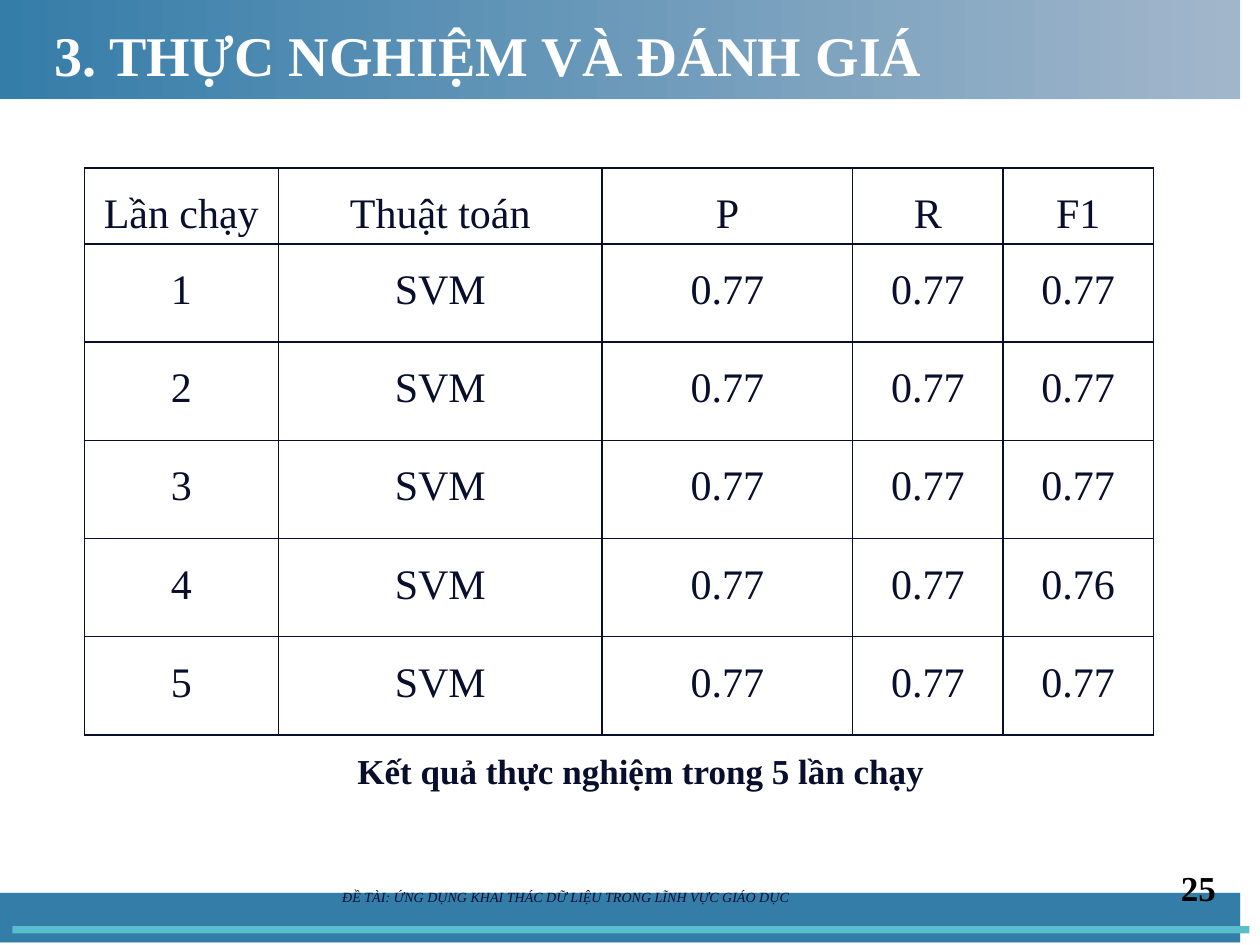
import pptx
import pptx.util
import pptx.dml.color
import pptx.enum.shapes
import pptx.enum.text
import pptx.oxml
import pptx.oxml.ns
from lxml import etree

Cm, Pt = pptx.util.Cm, pptx.util.Pt
RGBColor = pptx.dml.color.RGBColor
ALIGN = pptx.enum.text.PP_ALIGN
ANCHOR = pptx.enum.text.MSO_ANCHOR

FONT = "Times New Roman"
WHITE = RGBColor(0xFF, 0xFF, 0xFF)
BLACK = RGBColor(0x00, 0x00, 0x00)
NAVY = RGBColor(0x08, 0x0E, 0x2B)
BLUE = RGBColor(0x35, 0x7D, 0xA9)
GREY_BLUE = RGBColor(0xA2, 0xB6, 0xCB)
LIGHT_BLUE = RGBColor(0x9B, 0xD3, 0xE5)
TEAL = RGBColor(0x58, 0xBE, 0xCC)

prs = pptx.Presentation()
prs.slide_width, prs.slide_height = Cm(25.4), Cm(19.05)
s = prs.slides.add_slide(prs.slide_layouts[6])


def add_band(points, color):
    """Draw a closed, unlined outline whose points are in centimetres."""
    fb = s.shapes.build_freeform(*points[0], scale=Cm(1))
    fb.add_line_segments(points[1:], close=True)
    sp = fb.convert_to_shape()
    sp.shadow.inherit = False
    sp.line.fill.background()
    sp.fill.solid()
    sp.fill.fore_color.rgb = color
    return sp


def write(tf, text, size, color, align=ALIGN.LEFT, bold=False, italic=False):
    p = tf.paragraphs[0]
    p.alignment = align
    r = p.add_run()
    r.text = text
    r.font.name, r.font.size = FONT, Pt(size)
    r.font.bold, r.font.italic = bold, italic
    r.font.color.rgb = color
    return p


# Header
add_band([(25.12, 0.23), (0.25, 0.23), (0.25, 2.11), (18.87, 2.11),
          (19.33, 2.34), (25.12, 2.34)], LIGHT_BLUE)
header = add_band([(25.12, 0.2), (0.25, 0.2), (0.25, 1.88), (18.87, 1.9),
                   (19.33, 2.08), (25.12, 2.11)], BLUE)
header.fill.gradient()
header.fill.gradient_angle = 0
for stop, color, position in zip(header.fill.gradient_stops, (BLUE, GREY_BLUE), (0, 1)):
    stop.color.rgb = color
    stop.position = position
gloss = add_band([(19.15, 2.29), (25.15, 2.26), (25.15, 2.39), (19.43, 2.39)], WHITE)
clr = gloss.fill._xPr.find(".//" + pptx.oxml.ns.qn("a:srgbClr"))
etree.SubElement(clr, pptx.oxml.ns.qn("a:alpha"), val="30000")

# Footer
add_band([(0.28, 18.77), (25.17, 18.77), (25.17, 18.31), (6.83, 18.31),
          (6.2, 17.91), (0.25, 17.91)], LIGHT_BLUE)
add_band([(0.25, 18.8), (25.2, 18.77), (25.17, 18.44), (6.78, 18.44),
          (6.07, 18.03), (0.25, 18.03)], BLUE)
sp = s.shapes.add_shape(pptx.enum.shapes.MSO_SHAPE.RECTANGLE,
                        Cm(0.25), Cm(18.67), Cm(24.94), Cm(0.15))
sp.shadow.inherit = False
sp.line.fill.background()
sp.fill.solid()
sp.fill.fore_color.rgb = TEAL

# Text boxes: position in cm, anchor, then the text and its style
texts = [
    ((6.65, 17.78, 15.57, 0.61), ANCHOR.TOP,
     ("ĐỀ TÀI: ỨNG DỤNG KHAI THÁC DỮ LIỆU TRONG LĨNH VỰC GIÁO DỤC",
      8, NAVY, ALIGN.LEFT, False, True)),
    ((23.29, 17.35, 1.47, 1.02), ANCHOR.TOP, ("25", 20, BLACK, ALIGN.RIGHT, True)),
    ((0.84, 0.2, 21.16, 1.78), ANCHOR.MIDDLE,
     ("3. THỰC NGHIỆM VÀ ĐÁNH GIÁ", 32, WHITE, ALIGN.LEFT, True)),
    ((4.88, 14.99, 16.08, 1.12), ANCHOR.TOP,
     ("Kết quả thực nghiệm trong 5 lần chạy", 20, NAVY, ALIGN.CENTER, True)),
]
for box, anchor, content in texts:
    tf = s.shapes.add_textbox(*map(Cm, box)).text_frame
    tf.word_wrap = True
    tf.vertical_anchor = anchor
    write(tf, *content)

# Results table
f1_scores = ["0.77", "0.77", "0.77", "0.76", "0.77"]
rows = [["Lần chạy", "Thuật toán", "P", "R", "F1"]]
rows += [[str(run), "SVM", "0.77", "0.77", f1] for run, f1 in enumerate(f1_scores, 1)]
col_widths = [3.91, 6.53, 5.05, 3.03, 3.03]
row_heights = [1.12] + [1.98] * len(f1_scores)

table = s.shapes.add_table(len(rows), len(col_widths), Cm(1.7), Cm(3.39),
                           Cm(sum(col_widths)), Cm(sum(row_heights))).table
table.first_row = table.horz_banding = False
for col, width in zip(table.columns, col_widths):
    col.width = Cm(width)
for row, height, values in zip(table.rows, row_heights, rows):
    row.height = Cm(height)
    for cell, value in zip(row.cells, values):
        cell.margin_left = cell.margin_right = Cm(0.19)
        cell.margin_top = cell.margin_bottom = 0
        p = write(cell.text_frame, value, 24, NAVY, ALIGN.CENTER)
        p.line_spacing = 1.5
        p.space_before = Pt(6)
        tcPr = cell._tc.get_or_add_tcPr()
        for side in "LRTB":
            tcPr.append(pptx.oxml.parse_xml(
                f'<a:ln{side} {pptx.oxml.ns.nsdecls("a")} w="{Pt(1)}"><a:solidFill>'
                f'<a:srgbClr val="{NAVY}"/></a:solidFill></a:ln{side}>'))
        cell.fill.background()

prs.save("out.pptx")
